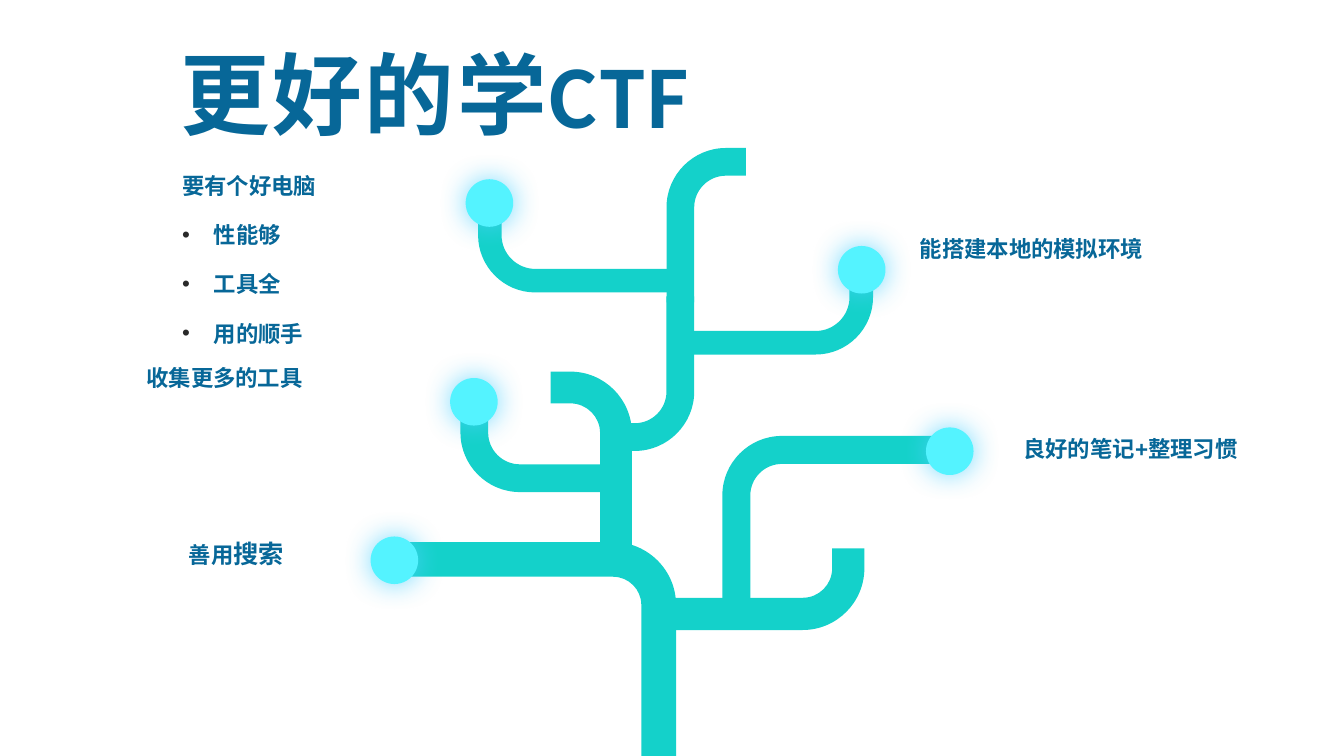
from dataclasses import dataclass

from lxml.etree import SubElement
from pptx import Presentation
from pptx.dml.color import RGBColor
from pptx.enum.shapes import MSO_SHAPE
from pptx.enum.text import MSO_AUTO_SIZE
from pptx.oxml.ns import qn
from pptx.util import Pt

OVAL = MSO_SHAPE.OVAL
GROW = MSO_AUTO_SIZE.SHAPE_TO_FIT_TEXT
QUARTER_CURVE = 0.55


@dataclass(frozen=True)
class Theme:
    branch: str = "14D1CA"
    node: str = "54F3FF"
    glow: str = "53D2FF"
    text: str = "076798"
    bullet: str = "292929"
    title_font: str = "Calibri"
    label_font: str = "Arial"
    title_size: int = 64
    label_size: int = 16
    large_size: int = 18
    bend_radius: float = 32.5
    node_size: int = 34
    indent: float = 22.5


class TreeSlide:
    def __init__(self, deck, theme):
        self.theme = theme
        self.page = deck.slides.add_slide(deck.slide_layouts[6])

    def paint(self, shape, color):
        shape.shadow.inherit = False
        shape.fill.solid()
        shape.fill.fore_color.rgb = RGBColor.from_string(color)
        shape.line.fill.background()

    def round_bend(self, route, index, vertical_first):
        points = [(int(p.get("x")), int(p.get("y"))) for p in route.iter(qn("a:pt"))]
        first, last = points[index - 1], points[index]
        corner = (first[0], last[1]) if vertical_first else (last[0], first[1])
        controls = [
            tuple(round(p + QUARTER_CURVE * (c - p)) for p, c in zip(point, corner))
            for point in (first, last)
        ]
        curve = SubElement(route, qn("a:cubicBezTo"))
        for x, y in [*controls, last]:
            SubElement(curve, qn("a:pt"), x=str(x), y=str(y))
        return curve

    def branch(self, start, corner, end, width):
        radius = self.theme.bend_radius
        half = width / 2

        def direction(origin, target):
            dx, dy = target[0] - origin[0], target[1] - origin[1]
            length = abs(dx) + abs(dy)
            return dx / length, dy / length

        def shifted(point, vector, distance):
            return tuple(p + distance * v for p, v in zip(point, vector))

        inward, outward = direction(start, corner), direction(corner, end)
        bend_start = shifted(corner, inward, -radius)
        bend_end = shifted(corner, outward, radius)

        def side(offset):
            before = [shifted(point, outward, -offset) for point in (start, bend_start)]
            after = [shifted(point, inward, offset) for point in (bend_end, end)]
            return before + after

        outline = [(Pt(x), Pt(y)) for x, y in side(half) + side(-half)[::-1]]
        builder = self.page.shapes.build_freeform(*outline[0])
        builder.add_line_segments(outline[1:], close=True)
        shape = builder.convert_to_shape()
        self.paint(shape, self.theme.branch)
        route = next(shape._element.iter(qn("a:path")))
        upright = inward[0] == 0
        segments = list(route)
        bends = [(i, self.round_bend(route, i, first)) for i, first in ((6, not upright), (2, upright))]
        for index, curve in bends:
            route.replace(segments[index], curve)

    def node(self, left, top):
        size = Pt(self.theme.node_size)
        circle = self.page.shapes.add_shape(OVAL, Pt(left), Pt(top), size, size)
        self.paint(circle, self.theme.node)
        effects = circle._element.spPr.find(qn("a:effectLst"))
        glow = SubElement(effects, qn("a:outerShdw"), blurRad=str(Pt(20)), dist="0",
                          dir="0", algn="ctr", rotWithShape="0")
        color = SubElement(glow, qn("a:srgbClr"), val=self.theme.glow)
        SubElement(color, qn("a:alpha"), val="80000")

    def text_box(self, left, top, width, height):
        box = self.page.shapes.add_textbox(Pt(left), Pt(top), Pt(width), Pt(height))
        box.text_frame.word_wrap = True
        box.text_frame.auto_size = GROW
        return box.text_frame

    def span(self, para, text, size, font):
        span = para.add_run()
        span.text = text
        span.font.size = Pt(size)
        span.font.name = font
        span.font.bold = True
        span.font.color.rgb = RGBColor.from_string(self.theme.text)
        properties = span._r.get_or_add_rPr()
        properties.set("lang", "zh-CN")
        return properties

    def title(self, place, text):
        para = self.text_box(*place).paragraphs[0]
        properties = self.span(para, text, self.theme.title_size, self.theme.title_font)
        properties.set("spc", "200")

    def label_paragraph(self, para, spans, bulleted=False):
        para.line_spacing = 1.5
        properties = para._p.get_or_add_pPr()
        after = SubElement(properties, qn("a:spcAft"))
        SubElement(after, qn("a:spcPct"), val="40000")
        if bulleted:
            indent = Pt(self.theme.indent)
            properties.set("marL", str(indent))
            properties.set("indent", str(-indent))
            color = SubElement(properties, qn("a:buClr"))
            SubElement(color, qn("a:srgbClr"), val=self.theme.bullet)
            SubElement(properties, qn("a:buFont"), typeface=self.theme.label_font)
            SubElement(properties, qn("a:buChar"), char="•")
        for text, size in spans:
            self.span(para, text, size, self.theme.label_font)

    def label(self, place, spans, bullets=()):
        frame = self.text_box(*place)
        self.label_paragraph(frame.paragraphs[0], spans)
        for text in bullets:
            self.label_paragraph(frame.add_paragraph(), [(text, self.theme.label_size)], True)


def main():
    deck = Presentation()
    deck.slide_width, deck.slide_height = Pt(960), Pt(540)
    theme = Theme()
    slide = TreeSlide(deck, theme)

    branches = [
        ((470.5, 540), (470.5, 399.6), (280.8, 399.6), 24.8),
        ((470.2, 438.5), (605.9, 438.5), (605.9, 391.7), 23),
        ((489.6, 244.8), (615.2, 244.8), (615.2, 198.7), 16.8),
        ((440, 400.3), (440, 276.8), (393.3, 276.8), 22.7),
        ((526, 442), (526, 321.4), (679, 321.4), 20),
        ((483.1, 200.5), (349.9, 200.5), (349.9, 154.1), 16.8),
        ((439.2, 341.6), (338.8, 341.6), (338.8, 295.2), 19.8),
        ((439.2, 312.2), (486, 312.2), (486, 211.7), 19.8),
        ((486, 216), (486, 115.6), (532.8, 115.6), 19.8),
    ]
    for branch in branches:
        slide.branch(*branch)

    for left, top in [(264.7, 383.2), (321.5, 270), (661.4, 305.3), (598.5, 175.7), (332.6, 128)]:
        slide.node(left, top)

    regular = theme.label_size
    slide.label((127.9, 370.1, 213.8, 36), [("善用", regular), ("搜索", theme.large_size)])
    slide.label((97.5, 247, 218.9, 33.1), [("收集更多的工具", regular)])
    slide.label((723.9, 297.4, 198.7, 33.1), [("良好的笔记+整理习惯", regular)])
    slide.label((649.9, 154.8, 215.3, 33.1), [("能搭建本地的模拟环境", regular)])
    slide.label((123.1, 109.8, 198.7, 143.3), [("要有个好电脑", regular)],
                ["性能够", "工具全", "用的顺手"])
    slide.title((121.7, 24.5, 478.1, 85), "更好的学CTF")

    deck.save("out.pptx")


if __name__ == "__main__":
    main()
